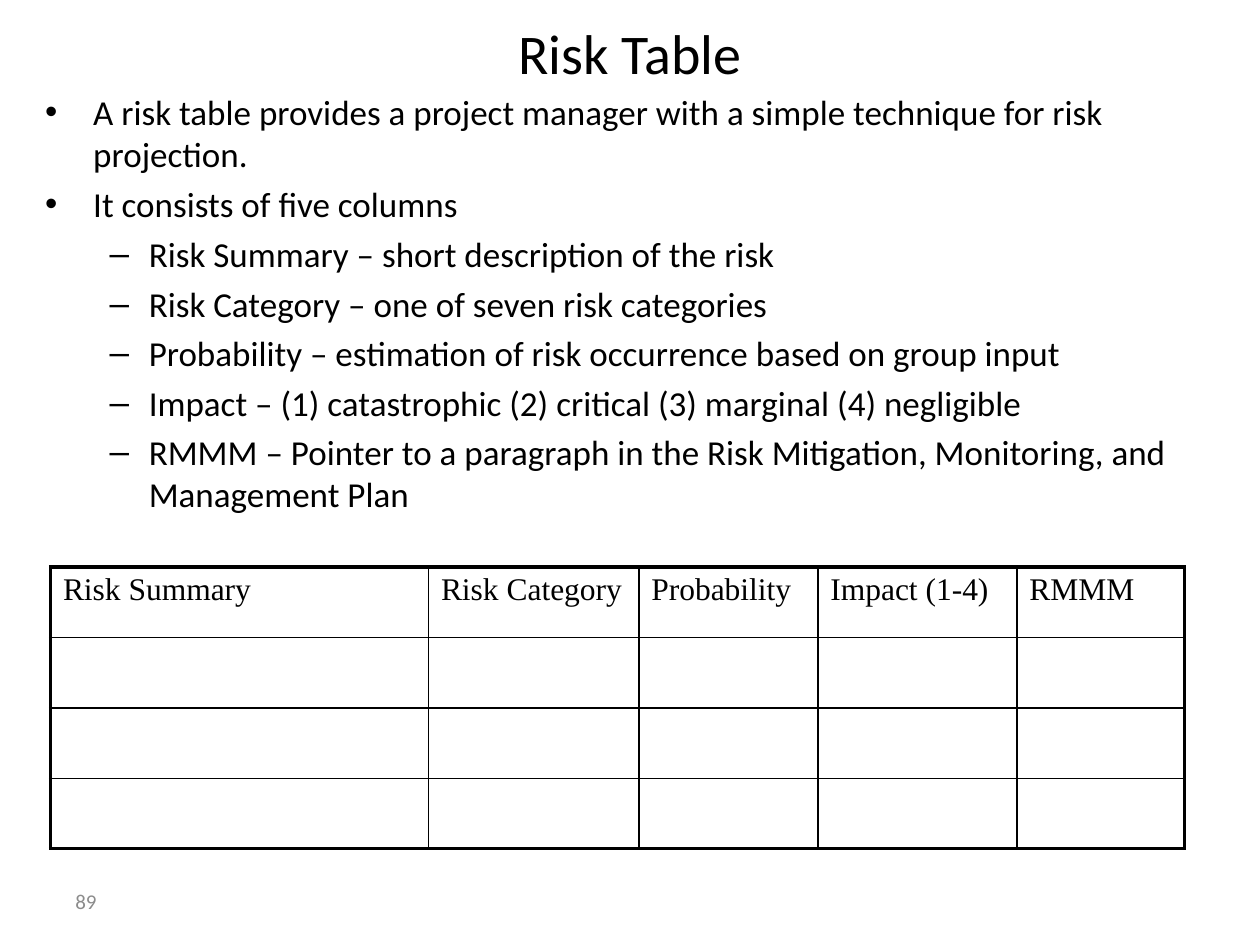
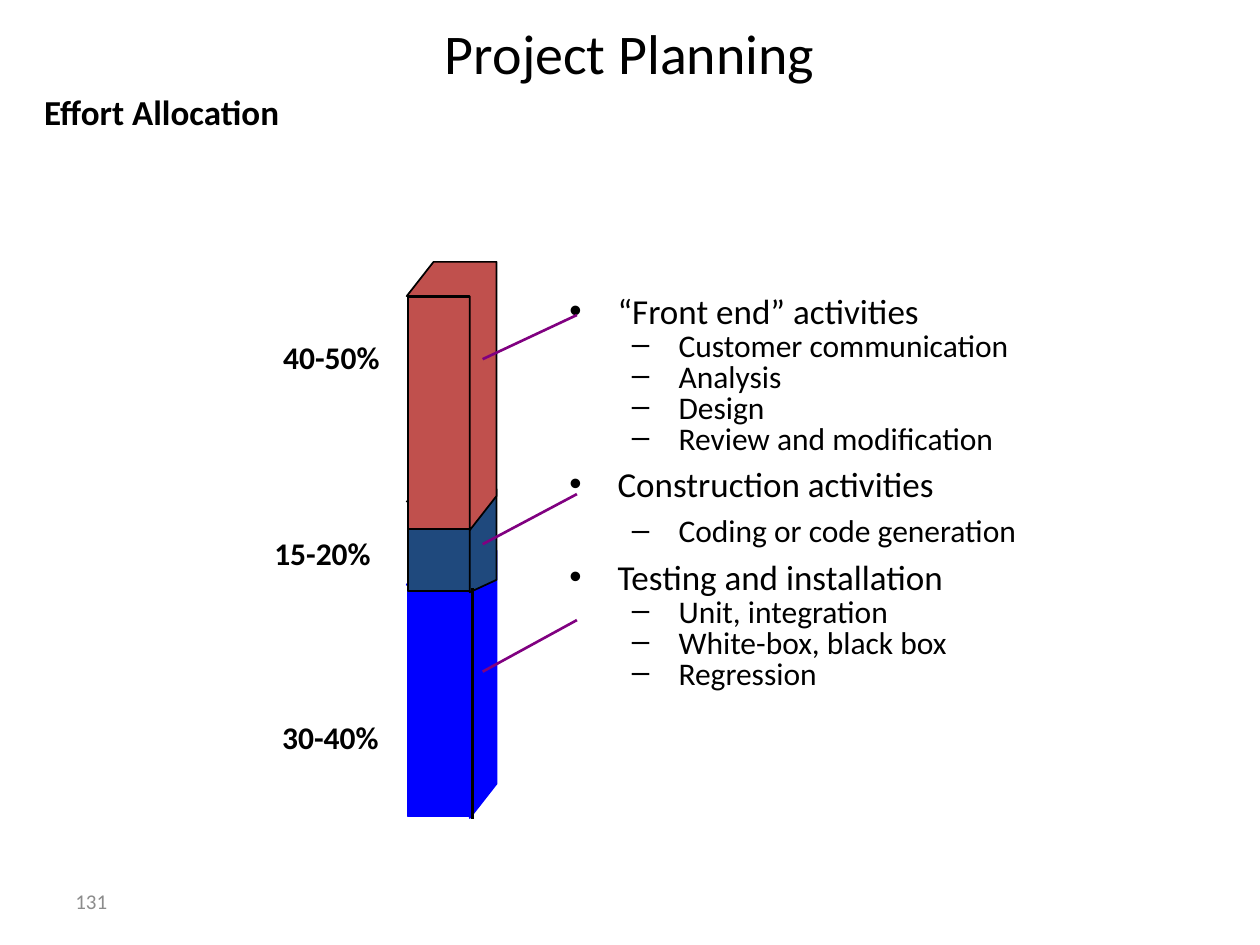
from dataclasses import dataclass
from typing import NamedTuple

from lxml import etree
from pptx import Presentation
from pptx.dml.color import RGBColor
from pptx.enum.shapes import MSO_CONNECTOR, MSO_SHAPE
from pptx.enum.text import MSO_ANCHOR, PP_ALIGN
from pptx.oxml.ns import qn
from pptx.util import Cm, Pt

BLACK = RGBColor(0x00, 0x00, 0x00)
GREY = RGBColor(0x8C, 0x8C, 0x8C)
BLUE = RGBColor(0x00, 0x00, 0xFF)
NAVY = RGBColor(0x1F, 0x49, 0x7D)
RED = RGBColor(0xC0, 0x50, 0x4D)
PURPLE = RGBColor(0x80, 0x00, 0x80)

BODY_FONT = "Calibri"
TABLE_FONT = "Times New Roman"
STRAIGHT = MSO_CONNECTOR.STRAIGHT
RECTANGLE = MSO_SHAPE.RECTANGLE
TOP = MSO_ANCHOR.TOP
MIDDLE = MSO_ANCHOR.MIDDLE
LEFT = PP_ALIGN.LEFT
CENTER = PP_ALIGN.CENTER


class Box(NamedTuple):
    left: float
    top: float
    width: float
    height: float


@dataclass(frozen=True)
class TextStyle:
    size: float
    color: RGBColor = BLACK
    bold: bool = False
    font: str = BODY_FONT
    align: PP_ALIGN = LEFT
    before: float = 0
    spacing: float = 1.0
    bullet: str = ""
    indent: float = 0
    hanging: float = 0


@dataclass(frozen=True)
class EffortBlock:
    share: str
    label_left: float
    label_top: float
    back_top: float
    rise: float
    height: float
    fill: RGBColor
    line: RGBColor


class Leader(NamedTuple):
    text_y: float
    block_y: float


TITLE_BOX = Box(1.27, 0, 22.86, 2.11)
BODY_BOX = Box(0.64, 1.7, 24.13, 16.71)
NUMBER_BOX = Box(1.27, 17.65, 5.92, 1.02)
ACTIVITY_BOX = Box(11.23, 5.72, 9.88, 10.64)

TITLE = TextStyle(32, align=CENTER)
NUMBER = TextStyle(12, GREY)
SUBTITLE = TextStyle(20, bold=True, before=4)
POINT = TextStyle(20, before=4.8, bullet="•", indent=0.99, hanging=0.97)
SUBPOINT = TextStyle(20, before=4.3, bullet="–", indent=2.11, hanging=0.79)
ACTIVITY = TextStyle(20, before=4, bullet="•", indent=0.97, hanging=0.97)
TASK = TextStyle(18, before=3.6, bullet="–", indent=2.2, hanging=0.94)
TIGHT_TASK = TextStyle(18, before=3.6, spacing=0.65, bullet="–", indent=2.2, hanging=0.94)
SHARE = TextStyle(18, bold=True, spacing=0.9)
HEADING = TextStyle(18, font=TABLE_FONT, before=3)

RISK_LINES = [
    ("A risk table provides a project manager with a simple technique for risk projection.", POINT),
    ("It consists of five columns", POINT),
    ("Risk Summary – short description of the risk", SUBPOINT),
    ("Risk Category – one of seven risk categories", SUBPOINT),
    ("Probability – estimation of risk occurrence based on group input", SUBPOINT),
    ("Impact – (1) catastrophic (2) critical (3) marginal (4) negligible", SUBPOINT),
    ("RMMM – Pointer to a paragraph in the Risk Mitigation, Monitoring, and Management Plan", SUBPOINT),
]
RISK_COLUMNS = {
    "Risk Summary": 7.62,
    "Risk Category": 4.24,
    "Probability": 3.61,
    "Impact (1-4)": 4.01,
    "RMMM": 3.38,
}
RISK_ROWS = 4
ROW_HEIGHT = 1.42
OUTER_BORDER = 2.25
INNER_BORDER = 1

ACTIVITY_LINES = [
    ("“Front end” activities", ACTIVITY),
    ("Customer communication", TIGHT_TASK),
    ("Analysis", TIGHT_TASK),
    ("Design", TIGHT_TASK),
    ("Review and modification", TIGHT_TASK),
    ("Construction activities", ACTIVITY),
    ("Coding or code generation", TASK),
    ("Testing and installation", ACTIVITY),
    ("Unit, integration", TIGHT_TASK),
    ("White-box, black box", TIGHT_TASK),
    ("Regression", TIGHT_TASK),
]
BLOCKS = [
    EffortBlock("30-40%", 5.44, 14.43, 11.1, 0.69, 4.7, BLUE, BLUE),
    EffortBlock("15-20%", 5.28, 10.72, 9.86, 0.25, 1.83, NAVY, BLACK),
    EffortBlock("40-50%", 5.46, 6.78, 5.28, 0.69, 4.72, RED, BLACK),
]
BLOCK_LEFT = 8.2
BLOCK_WIDTH = 1.27
BLOCK_DEPTH = 0.54
LEADERS = [Leader(6.35, 7.24), Leader(9.96, 10.97), Leader(12.5, 13.54)]


def write_paragraph(paragraph, text: str, style: TextStyle) -> None:
    paragraph.alignment = style.align
    paragraph.line_spacing = style.spacing
    paragraph.space_before = Pt(style.before)
    if style.bullet:
        properties = paragraph._p.get_or_add_pPr()
        properties.set("marL", str(Cm(style.indent)))
        properties.set("indent", str(-Cm(style.hanging)))
        etree.SubElement(properties, qn("a:buFont"), typeface="Arial")
        etree.SubElement(properties, qn("a:buChar"), char=style.bullet)
    run = paragraph.add_run()
    run.text = text
    run.font.name = style.font
    run.font.size = Pt(style.size)
    run.font.bold = style.bold
    run.font.color.rgb = style.color


def add_text(slide, box: Box, lines: list, anchor: MSO_ANCHOR = TOP) -> None:
    frame = slide.shapes.add_textbox(*map(Cm, box)).text_frame
    frame.word_wrap = True
    frame.vertical_anchor = anchor
    for index, (text, style) in enumerate(lines):
        paragraph = frame.add_paragraph() if index else frame.paragraphs[0]
        write_paragraph(paragraph, text, style)


def add_base_slide(presentation, title: str, number: str):
    slide = presentation.slides.add_slide(presentation.slide_layouts[6])
    add_text(slide, NUMBER_BOX, [(number, NUMBER)], MIDDLE)
    add_text(slide, TITLE_BOX, [(title, TITLE)], MIDDLE)
    return slide


def add_border(cell, side: str, width: float) -> None:
    line = etree.SubElement(cell._tc.get_or_add_tcPr(), qn(f"a:ln{side}"), w=str(Pt(width)))
    fill = etree.SubElement(line, qn("a:solidFill"))
    etree.SubElement(fill, qn("a:srgbClr"), val=str(BLACK))


def add_risk_table(slide) -> None:
    count = len(RISK_COLUMNS)
    box = Box(1.02, 11.43, sum(RISK_COLUMNS.values()), RISK_ROWS * ROW_HEIGHT)
    table = slide.shapes.add_table(RISK_ROWS, count, *map(Cm, box)).table
    table.first_row = False
    table.horz_banding = False
    for column, width in zip(table.columns, RISK_COLUMNS.values()):
        column.width = Cm(width)
    for row_index, row in enumerate(table.rows):
        row.height = Cm(ROW_HEIGHT)
        for column_index, cell in enumerate(row.cells):
            outer_sides = {
                "L": column_index == 0,
                "R": column_index == count - 1,
                "T": row_index == 0,
                "B": row_index == RISK_ROWS - 1,
            }
            for side, is_outer in outer_sides.items():
                add_border(cell, side, OUTER_BORDER if is_outer else INNER_BORDER)
            cell.fill.background()
            cell.margin_left = Cm(0.25)
            cell.margin_top = Cm(0.1)
            cell.margin_right = cell.margin_bottom = 0
    for cell, heading in zip(table.rows[0].cells, RISK_COLUMNS):
        write_paragraph(cell.text_frame.paragraphs[0], heading, HEADING)


def paint(shape, block: EffortBlock) -> None:
    shape.shadow.inherit = False
    shape.fill.solid()
    shape.fill.fore_color.rgb = block.fill
    shape.line.color.rgb = block.line
    shape.line.width = Pt(1)


def add_block(slide, block: EffortBlock) -> None:
    front_top = block.back_top + block.rise
    front_bottom = front_top + block.height
    right = BLOCK_LEFT + BLOCK_WIDTH
    back_right = right + BLOCK_DEPTH
    front = Box(BLOCK_LEFT + 0.02, front_top + 0.02, BLOCK_WIDTH - 0.02, block.height - 0.05)
    paint(slide.shapes.add_shape(RECTANGLE, *map(Cm, front)), block)
    outline = [
        (right, front_bottom),
        (back_right, front_bottom - block.rise),
        (back_right, block.back_top),
        (BLOCK_LEFT + BLOCK_DEPTH, block.back_top),
        (BLOCK_LEFT, front_top),
        (right, front_top),
    ]
    points = [(Cm(x), Cm(y)) for x, y in outline]
    builder = slide.shapes.build_freeform(*points[0])
    builder.add_line_segments(points[1:], close=True)
    paint(builder.convert_to_shape(), block)


def add_line(slide, start: tuple, end: tuple, color: RGBColor) -> None:
    connector = slide.shapes.add_connector(STRAIGHT, *map(Cm, start + end))
    connector.line.color.rgb = color
    connector.line.width = Pt(1.5)
    etree.SubElement(connector._element.spPr, qn("a:effectLst"))


def add_risk_slide(presentation) -> None:
    slide = add_base_slide(presentation, "Risk Table", "89")
    add_text(slide, BODY_BOX, RISK_LINES)
    add_risk_table(slide)


def add_planning_slide(presentation) -> None:
    slide = add_base_slide(presentation, "Project Planning", "131")
    add_text(slide, BODY_BOX, [("Effort Allocation", SUBTITLE)])
    add_text(slide, ACTIVITY_BOX, ACTIVITY_LINES)
    for block in BLOCKS:
        add_block(slide, block)
    for block in BLOCKS:
        add_text(slide, Box(block.label_left, block.label_top, 3.43, 1.17), [(block.share, SHARE)])
    for leader in LEADERS:
        add_line(slide, (11.63, leader.text_y), (9.73, leader.block_y), PURPLE)
    add_line(slide, (9.53, 11.86), (9.53, 16.51), BLACK)


def main() -> None:
    presentation = Presentation()
    presentation.slide_width = Cm(25.4)
    presentation.slide_height = Cm(19.05)
    add_risk_slide(presentation)
    add_planning_slide(presentation)
    presentation.save("out.pptx")


if __name__ == "__main__":
    main()
